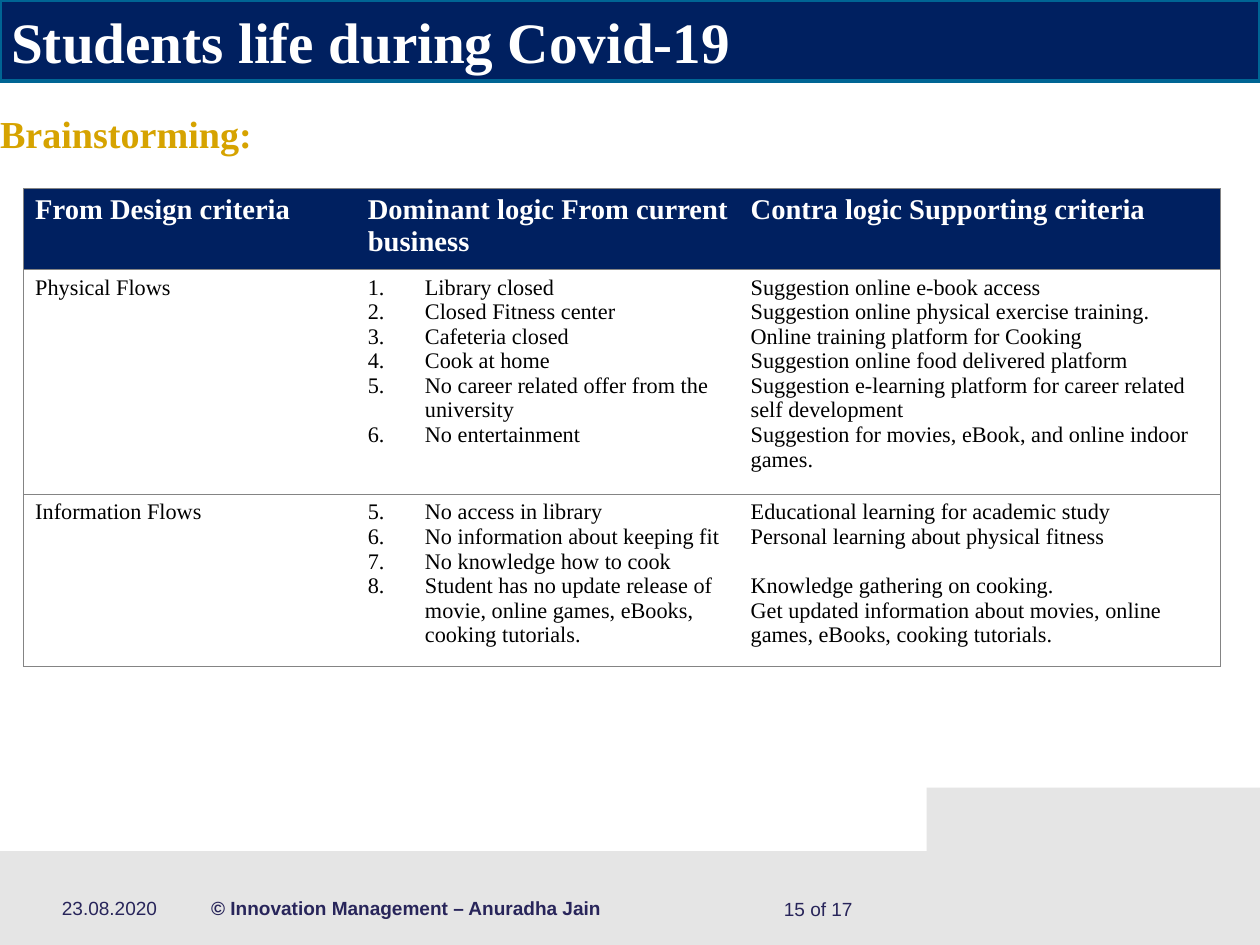
import pptx
import pptx.util
import pptx.dml.color
import pptx.enum.shapes
import pptx.enum.text
from lxml import etree

Pt = pptx.util.Pt
Color = pptx.dml.color.RGBColor
Anchor = pptx.enum.text.MSO_ANCHOR
Align = pptx.enum.text.PP_ALIGN

NAVY = Color(0x00, 0x20, 0x60)
TEAL = Color(0x00, 0x65, 0x94)
GOLD = Color(0xD6, 0xA3, 0x00)
GREY = Color(0xE5, 0xE5, 0xE5)
RULE = Color(0x84, 0x84, 0x84)
INK = Color(0x28, 0x25, 0x5A)
BLACK = Color(0, 0, 0)
WHITE = Color(255, 255, 255)
SERIF, SANS = "Times New Roman", "Arial"
NS = "http://schemas.openxmlformats.org/drawingml/2006/main"

COLS = (209.5, 241.2, 303.1)
ROWS = (51, 141, 108.4)
HEAD = ("From Design criteria", "Dominant logic From current business",
        "Contra logic Supporting criteria")
# Each flow: name, first number, dominant logic, contra logic
FLOWS = (
    ("Physical Flows", 1,
     ("Library closed", "Closed Fitness center", "Cafeteria closed",
      "Cook at home", "No career related offer from the university",
      "No entertainment"),
     ("Suggestion online e-book access",
      "Suggestion online physical exercise training.",
      "Online training platform for Cooking",
      "Suggestion online food delivered platform",
      "Suggestion e-learning platform for career related self development",
      "Suggestion for movies, eBook, and online indoor games.")),
    ("Information Flows", 5,
     ("No access in library", "No information about keeping fit",
      "No knowledge how to cook",
      "Student has no update release of movie, online games, eBooks, "
      "cooking tutorials."),
     ("Educational learning for academic study",
      "Personal learning about physical fitness",
      "Knowledge gathering on cooking.",
      "Get updated information about movies, online games, eBooks, "
      "cooking tutorials.")),
)


def write(frame, lines, size, color, bold=False, face=SERIF):
    frame.word_wrap = True
    frame.text = "\n".join(lines)
    for para in frame.paragraphs:
        para.alignment = Align.LEFT
        font = para.font
        font.name, font.size, font.bold = face, Pt(size), bold
        font.color.rgb = color


def add_block(slide, left, top, width, height, fill, line=None):
    kind = pptx.enum.shapes.MSO_SHAPE.RECTANGLE
    block = slide.shapes.add_shape(kind, Pt(left), Pt(top), Pt(width), Pt(height))
    block.shadow.inherit = False
    block.fill.solid()
    block.fill.fore_color.rgb = fill
    if line is None:
        block.line.fill.background()
    else:
        block.line.color.rgb = line
        block.line.width = Pt(2)
    return block


def add_note(slide, text, left, top, width, height, inset=0, bold=False):
    box = slide.shapes.add_textbox(Pt(left), Pt(top), Pt(width), Pt(height))
    frame = box.text_frame
    frame.margin_left = Pt(inset)
    frame.vertical_anchor = Anchor.BOTTOM
    write(frame, [text], 12, INK, bold, SANS)


def add_title(slide, text):
    title = slide.shapes.title
    title.left, title.top, title.width, title.height = Pt(0), Pt(58.3), Pt(714), Pt(61)
    frame = title.text_frame
    frame.margin_left = frame.margin_right = Pt(0)
    frame.margin_top = frame.margin_bottom = Pt(0)
    frame.vertical_anchor = Anchor.TOP
    write(frame, [text], 24, GOLD, True)
    frame.paragraphs[0].line_spacing = Pt(40)


def number(frame, start):
    for para in frame.paragraphs:
        props = para._p.get_or_add_pPr()
        props.set("marL", str(Pt(36)))
        props.set("indent", str(-Pt(36)))
        mark = etree.Element(f"{{{NS}}}buAutoNum", type="arabicPeriod",
                             startAt=str(start))
        props.insert(0, mark)


def set_edges(cell, sides):
    props = cell._tc.get_or_add_tcPr()
    for spot, side in enumerate("LRTB"):
        edge = etree.Element(f"{{{NS}}}ln{side}", w=str(Pt(0.75)))
        if side in sides:
            fill = etree.SubElement(edge, f"{{{NS}}}solidFill")
            etree.SubElement(fill, f"{{{NS}}}srgbClr", val=str(RULE))
        else:
            etree.SubElement(edge, f"{{{NS}}}noFill")
        props.insert(spot, edge)


def add_grid(slide):
    frame = slide.shapes.add_table(len(ROWS), len(COLS), Pt(15), Pt(118.8),
                                   Pt(sum(COLS)), Pt(sum(ROWS)))
    table = frame.table
    table.first_row = table.horz_banding = False
    for col, width in zip(table.columns, COLS):
        col.width = Pt(width)
    for row, height in zip(table.rows, ROWS):
        row.height = Pt(height)

    # Header row
    for col, text in enumerate(HEAD):
        cell = table.cell(0, col)
        write(cell.text_frame, [text], 18, WHITE, True)
        cell.fill.solid()
        cell.fill.fore_color.rgb = NAVY

    # Flow rows
    for row, (name, start, logic, contra) in enumerate(FLOWS, 1):
        for col, lines in enumerate(([name], logic, contra)):
            cell = table.cell(row, col)
            write(cell.text_frame, lines, 14, BLACK)
            cell.fill.background()
        number(table.cell(row, 1).text_frame, start)

    # Gap that lines the cooking answer up with its number
    table.cell(2, 2).text_frame.paragraphs[2].space_before = Pt(15.5)

    # Outer frame and row rules
    for row in range(len(ROWS)):
        for col, sides in enumerate(("LTB", "TB", "RTB")):
            set_edges(table.cell(row, col), sides)


def main():
    deck = pptx.Presentation()
    deck.slide_width, deck.slide_height = Pt(793.7), Pt(595.3)
    slide = deck.slides.add_slide(deck.slide_layouts[5])

    # Footer band
    add_block(slide, 0, 536.2, 608.4, 59.1, GREY)
    add_block(slide, 583.7, 496.2, 210, 99.1, GREY)
    add_note(slide, "15 of 17", 486.7, 561.6, 96.5, 21.6, 7.2)
    add_note(slide, "23.08.2020", 39, 550.8, 79.2, 31.7)
    add_note(slide, "© Innovation Management – Anuradha Jain",
             133, 550.8, 342, 31.7, bold=True)

    # Headings
    bar = add_block(slide, 0, 0, 793.7, 51, NAVY, TEAL)
    bar.text_frame.vertical_anchor = Anchor.MIDDLE
    write(bar.text_frame, ["Students life during Covid-19"], 36, WHITE, True)
    add_title(slide, "Brainstorming:")

    # Criteria table
    add_grid(slide)
    deck.save("out.pptx")


if __name__ == "__main__":
    main()
